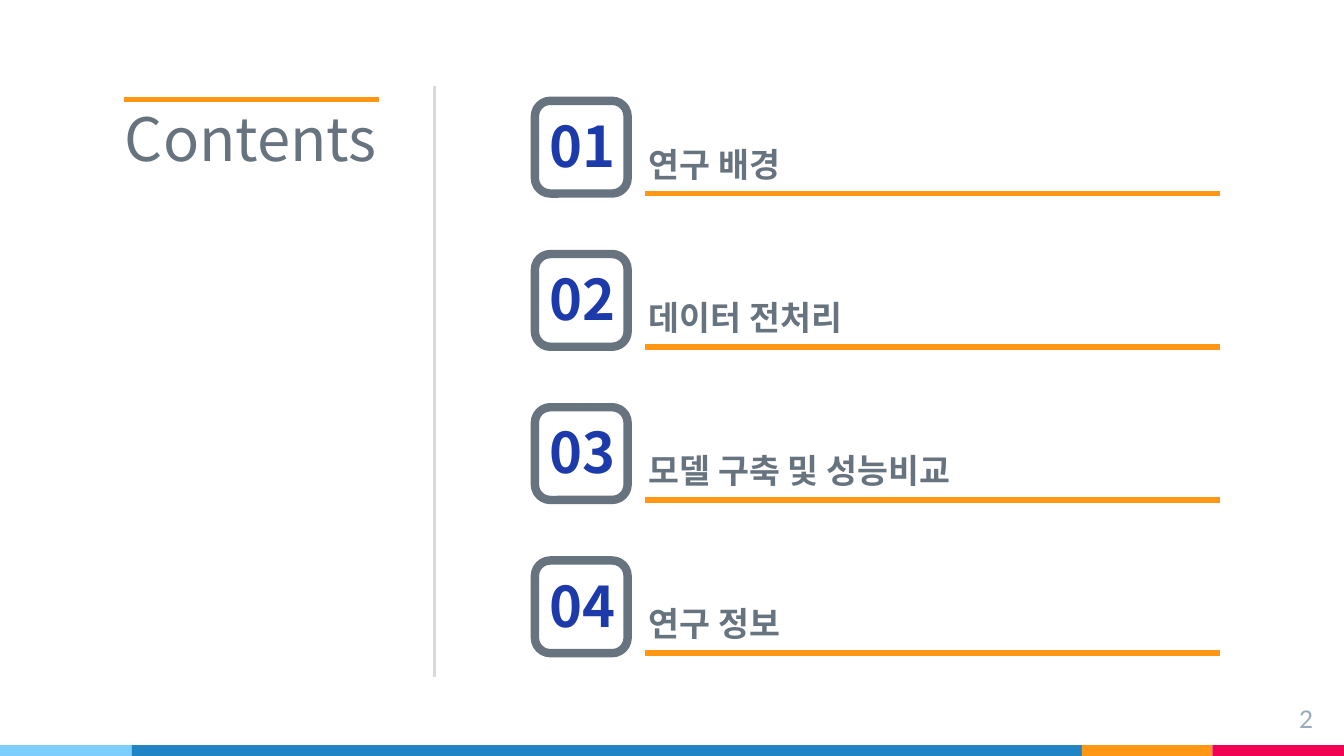
from dataclasses import dataclass

import lxml.etree
import pptx
import pptx.dml.color
import pptx.enum.shapes
import pptx.enum.text
import pptx.oxml.ns
import pptx.util

Inches = pptx.util.Inches
RGBColor = pptx.dml.color.RGBColor
Align = pptx.enum.text.PP_ALIGN
Anchor = pptx.enum.text.MSO_ANCHOR
ShapeKind = pptx.enum.shapes.MSO_SHAPE

ORANGE = RGBColor(0xFF, 0x97, 0x15)
PINK = RGBColor(0xF2, 0x02, 0x53)
SKY = RGBColor(0x7E, 0xCE, 0xFD)
BLUE = RGBColor(0x21, 0x85, 0xC5)
NAVY = RGBColor(0x1C, 0x3A, 0xA9)
SLATE = RGBColor(0x67, 0x74, 0x80)
LIGHT_GRAY = RGBColor(0xD9, 0xD9, 0xD9)
PAGE_GRAY = RGBColor(0x97, 0xAB, 0xBC)

KOREAN_FONT = "Noto Sans CJK KR"
SLIDE_WIDTH = 10
SLIDE_HEIGHT = SLIDE_WIDTH * 9 / 16
FIRST_TOP, ENTRY_PITCH = 0.75, 1.14
BOX_LEFT, BOX_SIZE = 3.98, 0.69
STRIPE_HEIGHT = 0.08
ENTRIES = ("연구 배경", "데이터 전처리", "모델 구축 및 성능비교", "연구 정보")


@dataclass(frozen=True)
class TextStyle:
    size: float
    color: RGBColor
    font: str = KOREAN_FONT
    bold: bool = False
    align: Align = Align.LEFT
    wrap: bool = True
    inset: float = 0.05  # top and bottom


@dataclass(frozen=True)
class Stripe:
    width: float
    color: RGBColor


TITLE = TextStyle(32, SLATE, wrap=False)
ENTRY = TextStyle(18, SLATE, bold=True)
NUMBER = TextStyle(30, NAVY, bold=True, align=Align.CENTER, wrap=False)
PAGE = TextStyle(13, PAGE_GRAY, font="Lato", align=Align.RIGHT, inset=0.1)
STRIPES = (Stripe(0.98, SKY), Stripe(7.07, BLUE), Stripe(0.97, ORANGE), Stripe(0.98, PINK))


def write_text(shape, text: str, style: TextStyle) -> None:
    frame = shape.text_frame
    frame_format = {
        "word_wrap": style.wrap,
        "auto_size": pptx.enum.text.MSO_AUTO_SIZE.NONE,
        "vertical_anchor": Anchor.TOP,
        "margin_left": Inches(0.1),
        "margin_right": Inches(0.1),
        "margin_top": Inches(style.inset),
        "margin_bottom": Inches(style.inset),
    }
    for name, value in frame_format.items():
        setattr(frame, name, value)
    paragraph = frame.paragraphs[0]
    paragraph.alignment = style.align
    run = paragraph.add_run()
    run.text = text
    font_format = {"size": pptx.util.Pt(style.size), "name": style.font, "bold": style.bold}
    for name, value in font_format.items():
        setattr(run.font, name, value)
    run.font.color.rgb = style.color
    east_asian = lxml.etree.SubElement(run.font._element, pptx.oxml.ns.qn("a:ea"))
    east_asian.set("typeface", style.font)


def add_text(shapes, left: float, top: float, width: float, height: float,
             text: str, style: TextStyle) -> None:
    box = shapes.add_textbox(Inches(left), Inches(top), Inches(width), Inches(height))
    write_text(box, text, style)


def add_line(shapes, start: tuple[float, float], end: tuple[float, float],
             color: RGBColor, width: float) -> None:
    line = shapes.add_connector(
        pptx.enum.shapes.MSO_CONNECTOR.STRAIGHT, *map(Inches, start + end))
    line.line.color.rgb = color
    line.line.width = pptx.util.Pt(width)
    lxml.etree.SubElement(line._element.spPr, pptx.oxml.ns.qn("a:effectLst"))


def add_stripes(shapes) -> None:
    left = 0.0
    for stripe in STRIPES:
        bar = shapes.add_shape(
            ShapeKind.RECTANGLE, Inches(left), Inches(SLIDE_HEIGHT - STRIPE_HEIGHT),
            Inches(stripe.width), Inches(STRIPE_HEIGHT))
        bar.shadow.inherit = False
        bar.fill.solid()
        bar.fill.fore_color.rgb = stripe.color
        bar.line.fill.background()
        left += stripe.width


def add_entry(slide, index: int, heading: str) -> None:
    top = FIRST_TOP + index * ENTRY_PITCH
    shapes = slide.shapes.add_group_shape().shapes
    underline = top + BOX_SIZE
    add_line(shapes, (4.8, underline), (9.08, underline), ORANGE, 3)
    box = shapes.add_shape(ShapeKind.ROUNDED_RECTANGLE, Inches(BOX_LEFT), Inches(top),
                           Inches(BOX_SIZE), Inches(BOX_SIZE))
    box.shadow.inherit = False
    box.fill.background()
    box.line.color.rgb = SLATE
    box.line.width = pptx.util.Pt(4.5)
    add_text(shapes, 4.73, top + 0.27, 4.49, 0.4, heading, ENTRY)
    add_text(shapes, BOX_LEFT, top + 0.03, 0.71, 0.61, f"{index + 1:02d}", NUMBER)


def main() -> None:
    presentation = pptx.Presentation()
    presentation.slide_width = Inches(SLIDE_WIDTH)
    presentation.slide_height = Inches(SLIDE_HEIGHT)
    slide = presentation.slides.add_slide(presentation.slide_layouts.get_by_name("Title Only"))

    add_stripes(slide.shapes)
    title = slide.shapes.title
    title_place = {"left": 0.83, "top": 0.71, "width": 2.08, "height": 0.64}
    for name, value in title_place.items():
        setattr(title, name, Inches(value))
    write_text(title, "Contents", TITLE)
    add_line(slide.shapes, (0.92, 0.74), (2.82, 0.74), ORANGE, 3)
    add_line(slide.shapes, (3.23, 0.64), (3.23, 5.04), LIGHT_GRAY, 1.5)

    for index, heading in enumerate(ENTRIES):
        add_entry(slide, index, heading)
    add_text(slide.shapes, 9.27, 5.14, 0.6, 0.34, "2", PAGE)

    presentation.save("out.pptx")


if __name__ == "__main__":
    main()
